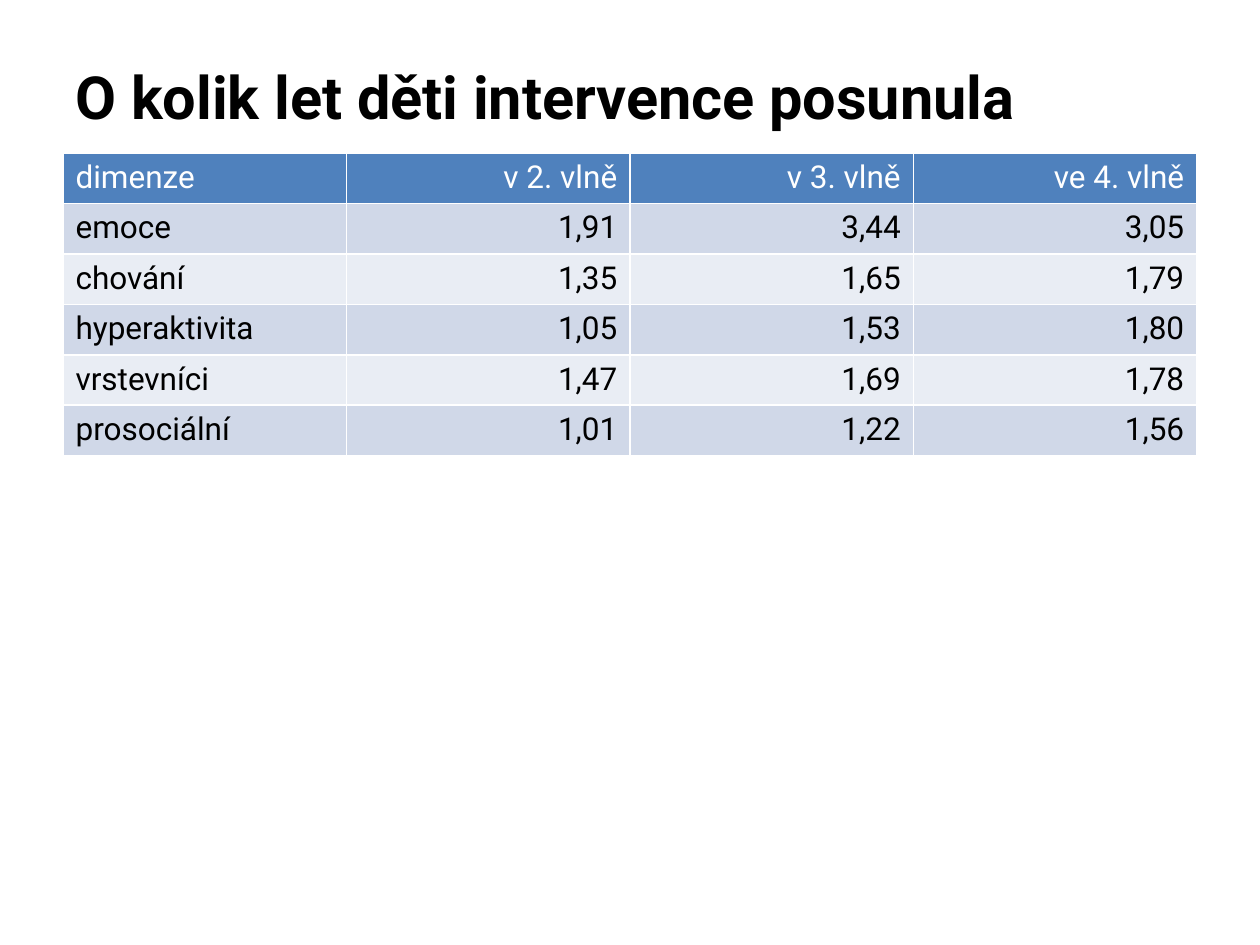
from lxml import etree
from pptx import Presentation
from pptx import util as u
from pptx.dml.color import RGBColor
from pptx.enum import text
from pptx.oxml import ns

PX = u.Inches(1) // 126
FONT = "Roboto"
TITLE = "O kolik let děti intervence posunula"
TITLE_BOX = (63, 38, 1134, 115)
ROWS = [
    ("dimenze", "v 2. vlně", "v 3. vlně", "ve 4. vlně"),
    ("emoce", "1,91", "3,44", "3,05"),
    ("chování", "1,35", "1,65", "1,79"),
    ("hyperaktivita", "1,05", "1,53", "1,80"),
    ("vrstevníci", "1,47", "1,69", "1,78"),
    ("prosociální", "1,01", "1,22", "1,56"),
]
LEFT, TOP, WIDTH, ROW_H = 63, 153, 1134, 49
HEADER, BANDS, BORDER = "4F81BD", ("E9EDF4", "D0D8E8"), "FFFFFF"


def rgb(value):
    return RGBColor.from_string(value)


def write(tf, content, color, align, **fmt):
    p = tf.paragraphs[0]
    p.alignment = align
    r = p.add_run()
    r.text = content
    for key, value in {"name": FONT, **fmt}.items():
        setattr(r.font, key, value)
    r.font.color.rgb = rgb(color)


def add_borders(cell):
    tc_pr = cell._tc.get_or_add_tcPr()
    for side in ("lnL", "lnR", "lnT", "lnB"):
        ln = etree.SubElement(tc_pr, ns.qn(f"a:{side}"), w=str(u.Pt(1)))
        fill = etree.SubElement(ln, ns.qn("a:solidFill"))
        etree.SubElement(fill, ns.qn("a:srgbClr"), val=BORDER)


def add_title(slide):
    sp = slide.shapes.add_textbox(*(v * PX for v in TITLE_BOX))
    tf = sp.text_frame
    tf.word_wrap = True
    tf.vertical_anchor = text.MSO_ANCHOR.MIDDLE
    write(tf, TITLE, "000000", text.PP_ALIGN.LEFT, size=u.Pt(34), bold=True)


def add_results(slide):
    box = (LEFT, TOP, WIDTH, ROW_H * len(ROWS))
    table = slide.shapes.add_table(
        len(ROWS), len(ROWS[0]), *(v * PX for v in box)).table
    for i, row in enumerate(ROWS):
        for j, value in enumerate(row):
            cell = table.cell(i, j)
            add_borders(cell)
            cell.fill.solid()
            cell.fill.fore_color.rgb = rgb(BANDS[i % 2] if i else HEADER)
            align = text.PP_ALIGN.RIGHT if j else text.PP_ALIGN.LEFT
            write(cell.text_frame, value, "000000" if i else "FFFFFF", align,
                  size=u.Pt(18), bold=False)


def main():
    prs = Presentation()
    prs.slide_width, prs.slide_height = 1260 * PX, 945 * PX
    slide = prs.slides.add_slide(prs.slide_layouts[6])
    add_title(slide)
    add_results(slide)
    prs.save("out.pptx")


if __name__ == "__main__":
    main()
